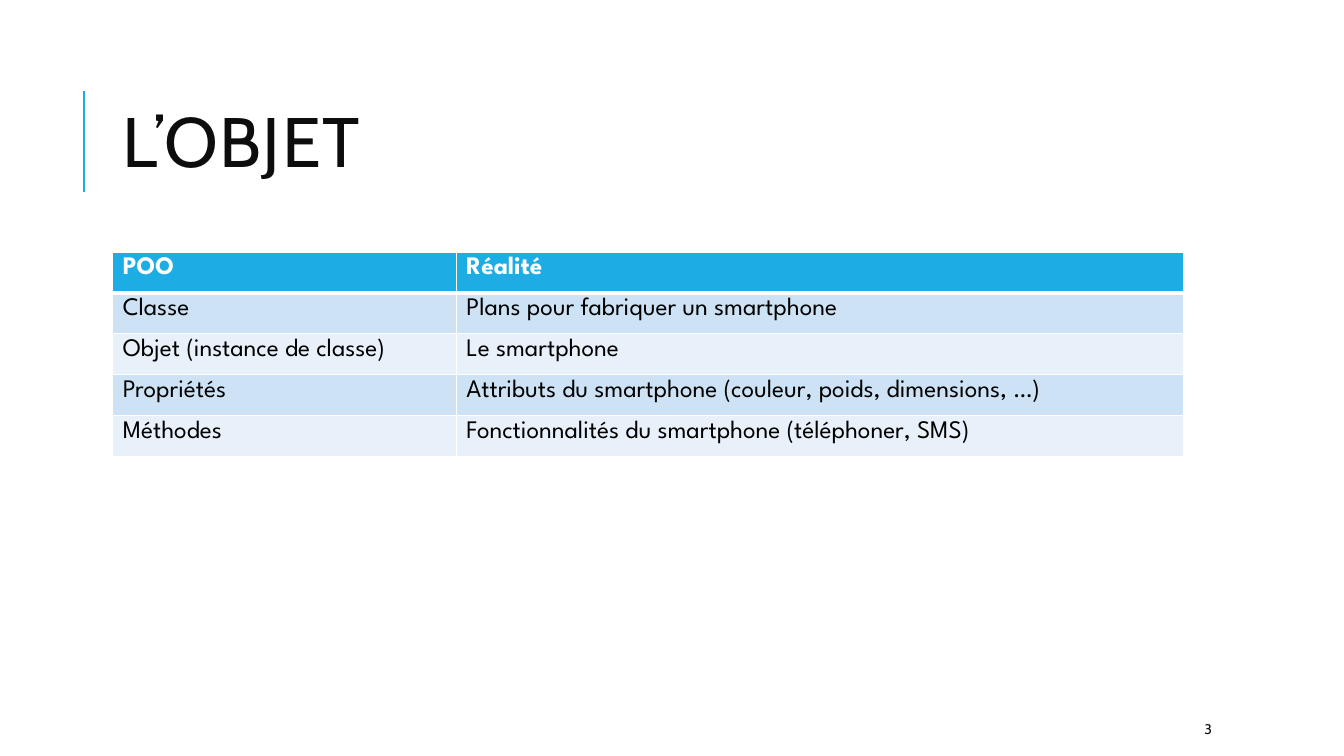
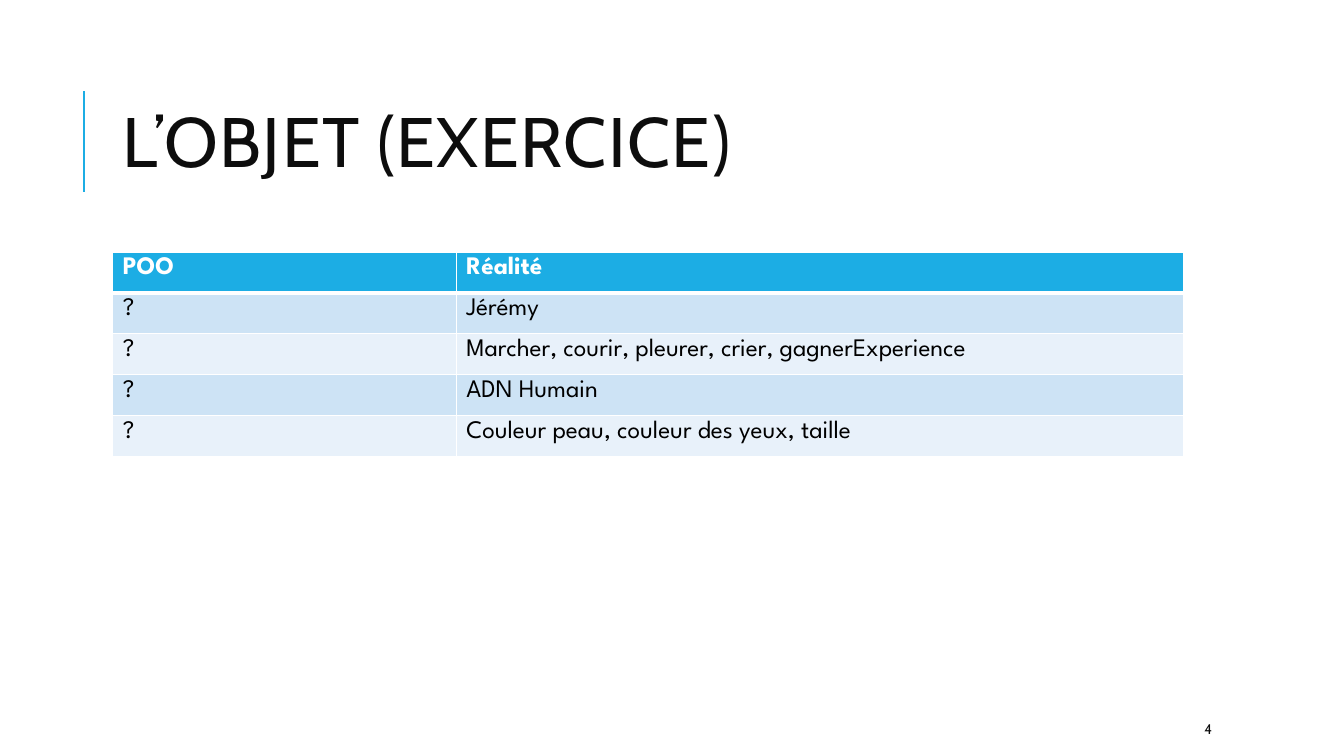
from lxml import etree
from pptx import Presentation
from pptx import util as u
from pptx.dml.color import RGBColor
from pptx.enum import shapes, text
from pptx.oxml import ns

COLORS = {
    "accent": "1CADE4",
    "title": "0D0D0D",
    "body": "000000",
    "white": "FFFFFF",
    "odd row": "CDE3F5",
    "even row": "E8F1FA",
}
TITLE_FONT = "Cabin"
TABLE_FONT = "League Spartan"
HEADER = ("POO", "Réalité")
COLUMN_WIDTHS = (8.66, 18.34)
ROW_HEIGHT = 1.03
LEFT, CONTENT_WIDTH = 2.84, 27

SLIDES = [
    (3, "L’OBJET", [
        ("Classe", "Plans pour fabriquer un smartphone"),
        ("Objet (instance de classe)", "Le smartphone"),
        ("Propriétés", "Attributs du smartphone (couleur, poids, dimensions, …)"),
        ("Méthodes", "Fonctionnalités du smartphone (téléphoner, SMS)"),
    ]),
    (4, "L’OBJET (EXERCICE)", [
        ("?", "Jérémy"),
        ("?", "Marcher, courir, pleurer, crier, gagnerExperience"),
        ("?", "ADN Humain"),
        ("?", "Couleur peau, couleur des yeux, taille"),
    ]),
]


def color(name):
    return RGBColor.from_string(COLORS[name])


class CourseDeck:
    """Holds the shared style and the slide being built."""

    def __init__(self):
        self.deck = Presentation()
        self.deck.slide_width = u.Cm(33.87)
        self.deck.slide_height = u.Cm(19.05)
        self.page = None

    def add_page(self):
        title_only = self.deck.slide_layouts[5]
        self.page = self.deck.slides.add_slide(title_only)

    def add_span(self, para, words, font, size, color_name, bold=False):
        span = para.add_run()
        span.text = words
        span.font.name = font
        span.font.size = u.Pt(size)
        span.font.bold = bold
        span.font.color.rgb = color(color_name)
        return span

    def add_title(self, words):
        box = self.page.shapes.title
        box.left, box.top = u.Cm(LEFT), u.Cm(1.63)
        box.width, box.height = u.Cm(CONTENT_WIDTH), u.Cm(4.17)
        frame = box.text_frame
        frame.word_wrap = True
        frame.auto_size = text.MSO_AUTO_SIZE.NONE
        frame.vertical_anchor = text.MSO_ANCHOR.MIDDLE
        para = frame.paragraphs[0]
        para.alignment = text.PP_ALIGN.LEFT
        para.line_spacing = 0.8
        span = self.add_span(para, words, TITLE_FONT, 50, "title")
        span.font._element.set("spc", "100")

    def add_title_rule(self):
        rule = self.page.shapes.add_connector(
            shapes.MSO_CONNECTOR.STRAIGHT,
            u.Cm(2.11), u.Cm(4.83), u.Cm(2.11), u.Cm(2.29))
        rule.line.color.rgb = color("accent")
        rule.line.width = u.Pt(1.5)
        etree.SubElement(rule._element.spPr, ns.qn("a:effectLst"))

    def add_page_number(self, number):
        box = self.page.shapes.add_textbox(
            u.Cm(30.1), u.Cm(17.98), u.Cm(2.69), u.Cm(0.76))
        frame = box.text_frame
        frame.word_wrap = True
        frame.vertical_anchor = text.MSO_ANCHOR.MIDDLE
        self.add_span(frame.paragraphs[0], str(number), TITLE_FONT, 10, "title")

    def add_borders(self, cell, top, bottom):
        properties = cell._tc.get_or_add_tcPr()
        for side, points in (("L", 1), ("R", 1), ("T", top), ("B", bottom)):
            line = etree.SubElement(properties, ns.qn(f"a:ln{side}"), w=str(u.Pt(points)))
            fill = etree.SubElement(line, ns.qn("a:solidFill"))
            etree.SubElement(fill, ns.qn("a:srgbClr"), val=COLORS["white"])

    def add_table(self, rows):
        rows = [HEADER, *rows]
        table = self.page.shapes.add_table(
            len(rows), len(HEADER), u.Cm(LEFT), u.Cm(6.35),
            u.Cm(CONTENT_WIDTH), u.Cm(ROW_HEIGHT * len(rows))).table
        for column, width in zip(table.columns, COLUMN_WIDTHS):
            column.width = u.Cm(width)
        for r, row in enumerate(rows):
            table.rows[r].height = u.Cm(ROW_HEIGHT)
            is_header = r == 0
            fill = "accent" if is_header else "odd row" if r % 2 else "even row"
            for c, words in enumerate(row):
                cell = table.cell(r, c)
                # A thick line parts the header from the body
                self.add_borders(cell, top=3 if r == 1 else 1, bottom=3 if is_header else 1)
                cell.fill.solid()
                cell.fill.fore_color.rgb = color(fill)
                self.add_span(cell.text_frame.paragraphs[0], words, TABLE_FONT, 18,
                              "white" if is_header else "body", bold=is_header)


def main():
    course = CourseDeck()
    for number, title, rows in SLIDES:
        course.add_page()
        course.add_title_rule()
        course.add_title(title)
        course.add_table(rows)
        course.add_page_number(number)
    course.deck.save("out.pptx")


if __name__ == "__main__":
    main()
